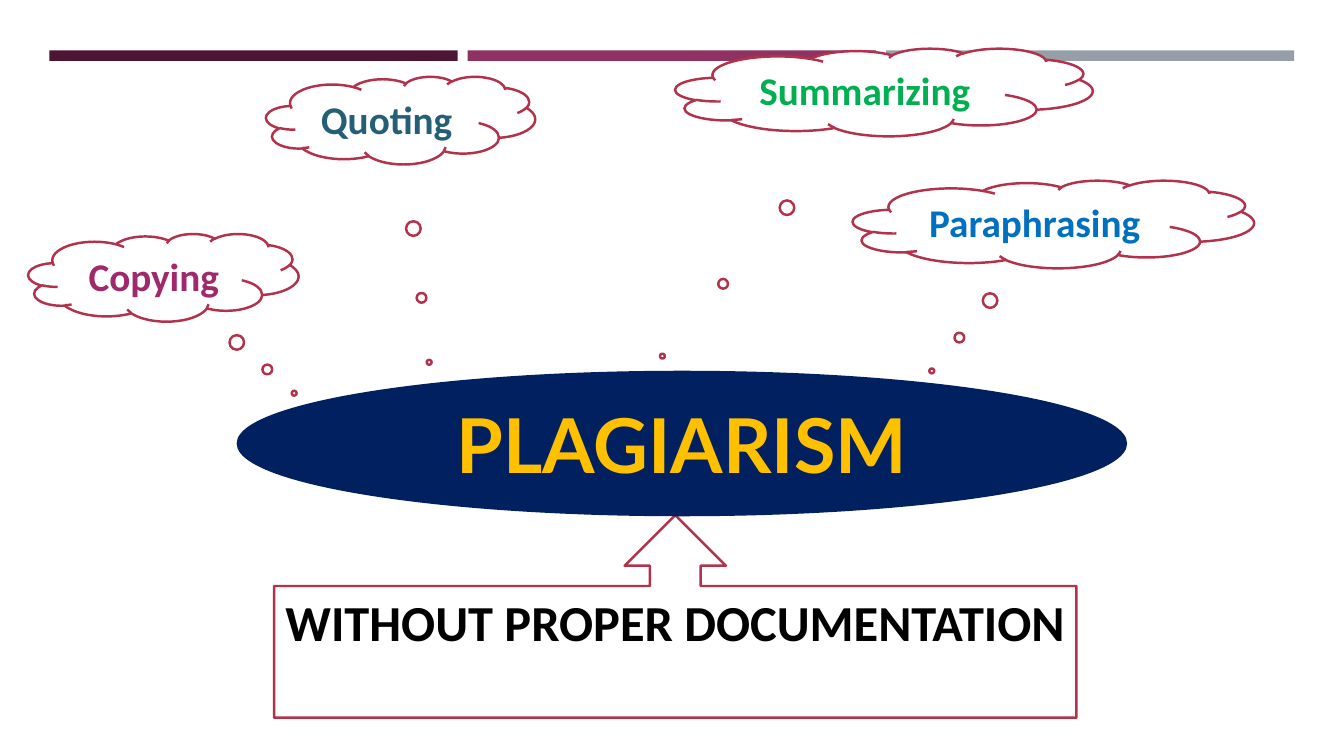
"""Build the plagiarism slide: four thought clouds around a central ellipse."""
import pptx
import pptx.dml.color
import pptx.enum.shapes
import pptx.enum.text
import pptx.util

Pt = pptx.util.Pt
MSO_SHAPE = pptx.enum.shapes.MSO_SHAPE
MSO_ANCHOR = pptx.enum.text.MSO_ANCHOR

THEME = {
    "bars": ["4D1434", "903163", "969FA7"],
    "paper": "FFFFFF",
    "outline": "B2324B",
    "navy": "002060",
    "gold": "FFC000",
    "ink": "000000",
    "font": "Calibri",
    "topic_font": "Lato",
    "topic_size": 54,
    "condition_size": 36,
    "cloud_size": 28,
    "line_width": 1.75,
}

TOPIC = {"text": "PLAGIARISM", "box": (169.9, 265.7, 634.3, 102.2)}
CONDITION = {"text": "WITHOUT PROPER DOCUMENTATION", "box": (195.8, 367.9, 573.1, 144.7)}
CLOUD_HEIGHT = 62.6
CLOUDS = [
    {"text": "Copying", "color": "9F296B", "place": (20.2, 167, 193), "tail": (0.484, 1.32)},
    {"text": "Quoting ", "color": "255F75", "place": (190.1, 54.7, 192.2), "tail": (0.106, 2.761)},
    {"text": "Summarizing ", "color": "00B050", "place": (482.4, 34.6, 298.1), "tail": (-0.531, 3.012)},
    {"text": "Paraphrasing ", "color": "0070C0", "place": (609.1, 128.9, 286.6), "tail": (-0.303, 1.674)},
]
BAR_LEFT, BAR_TOP, BAR_WIDTH, BAR_HEIGHT, BAR_STEP = 35.3, 36, 291.6, 7.5, 298.8


def rgb(value):
    """Return a colour object for a hex string."""
    return pptx.dml.color.RGBColor.from_string(value)


def add_outlined(slide, kind, box, fill, line=None):
    """Add a flat preset shape with an optional outline."""
    figure = slide.shapes.add_shape(kind, *map(Pt, box))
    figure.shadow.inherit = False
    figure.fill.solid()
    figure.fill.fore_color.rgb = rgb(fill)
    if line:
        figure.line.color.rgb = rgb(line)
        figure.line.width = Pt(THEME["line_width"])
    else:
        figure.line.fill.background()
    return figure


def write(figure, text, *, size, color, font=THEME["font"], anchor=MSO_ANCHOR.MIDDLE):
    """Write centred bold text into a shape."""
    frame = figure.text_frame
    frame.word_wrap = True
    frame.vertical_anchor = anchor
    paragraph = frame.paragraphs[0]
    paragraph.alignment = pptx.enum.text.PP_ALIGN.CENTER
    run = paragraph.add_run()
    run.text = text
    run.font.name = font
    run.font.size = Pt(size)
    run.font.bold = True
    run.font.color.rgb = rgb(color)


def main():
    """Compose and save the slide."""
    deck = pptx.Presentation()
    deck.slide_width, deck.slide_height = Pt(960), Pt(540)
    slide = deck.slides.add_slide(deck.slide_layouts.get_by_name("Blank"))

    for index, color in enumerate(THEME["bars"]):
        box = (BAR_LEFT + index * BAR_STEP, BAR_TOP, BAR_WIDTH, BAR_HEIGHT)
        add_outlined(slide, MSO_SHAPE.RECTANGLE, box, color)

    condition = add_outlined(slide, MSO_SHAPE.UP_ARROW_CALLOUT, CONDITION["box"],
                             THEME["paper"], THEME["outline"])
    write(condition, CONDITION["text"], size=THEME["condition_size"],
          color=THEME["ink"], anchor=MSO_ANCHOR.TOP)

    topic = add_outlined(slide, MSO_SHAPE.OVAL, TOPIC["box"], THEME["navy"], THEME["navy"])
    write(topic, TOPIC["text"], size=THEME["topic_size"],
          color=THEME["gold"], font=THEME["topic_font"])

    for item in CLOUDS:
        cloud = add_outlined(slide, MSO_SHAPE.CLOUD_CALLOUT, (*item["place"], CLOUD_HEIGHT),
                             THEME["paper"], THEME["outline"])
        for index, offset in enumerate(item["tail"]):
            cloud.adjustments[index] = offset
        write(cloud, item["text"], size=THEME["cloud_size"], color=item["color"])

    deck.save("out.pptx")


if __name__ == "__main__":
    main()
